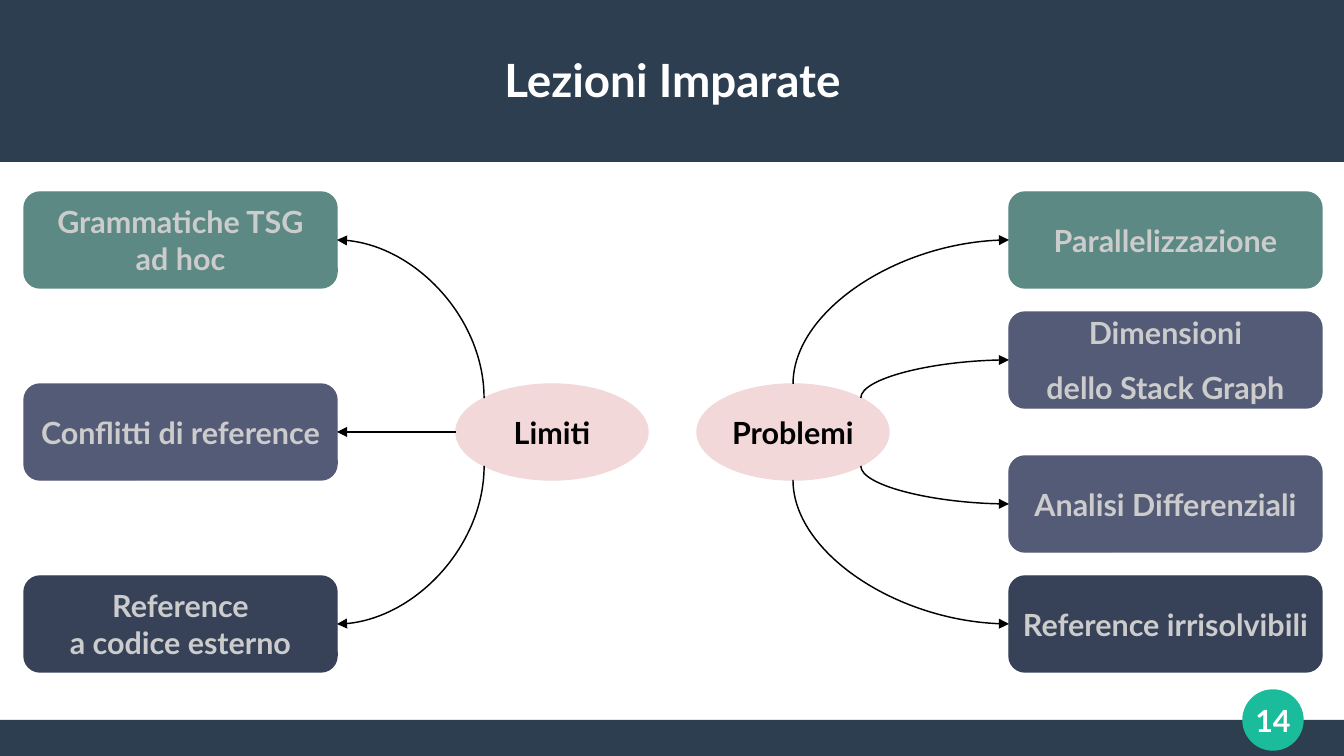
"""Build the slide "Lezioni Imparate": limits and problems, each linked to its topics."""
from math import sqrt

from lxml.etree import SubElement
from pptx import Presentation
from pptx.dml.color import RGBColor
from pptx.enum.shapes import MSO_CONNECTOR, MSO_SHAPE
from pptx.enum.text import MSO_ANCHOR, PP_ALIGN
from pptx.oxml.ns import qn
from pptx.util import Emu, Pt

TITLE = "Lezioni Imparate"
PAGE = "14"
NAVY, TEAL, PINK = "2C3E50", "1ABC9C", "F2D8D8"
GREEN, VIOLET, SLATE = "5C8984", "545B77", "374259"
WHITE, GREY, BLACK = "FFFFFF", "CCCCCC", "000000"

GROUPS = [
    {"hub": "Limiti", "hub_x": 456, "topic_x": 24, "side": -1, "gap": 0, "topics": [
        (192, GREEN, ["Grammatiche TSG", "ad hoc"], "diagonal"),
        (384, VIOLET, ["Conflitti di reference"], "straight"),
        (576, SLATE, ["Reference", "a codice esterno"], "diagonal"),
    ]},
    {"hub": "Problemi", "hub_x": 697, "topic_x": 1009, "side": 1, "gap": 10.6, "topics": [
        (192, GREEN, ["Parallelizzazione"], "pole"),
        (312, VIOLET, ["Dimensioni", "dello Stack Graph"], "diagonal"),
        (456, VIOLET, ["Analisi Differenziali"], "diagonal"),
        (576, SLATE, ["Reference irrisolvibili"], "pole"),
    ]},
]

SLIDE_W, SLIDE_H = 1344, 756
HUB_W, TOPIC_W, ROW_H, HUB_Y = 192, 313, 96, 384
LINE_WIDTH = Pt(0.85)


def px(length):
    return Emu(round(length * 914400 / 122))


def rgb(code):
    return RGBColor.from_string(code)


def write(shape, lines, color, size=18, gap=0):
    frame = shape.text_frame
    frame.word_wrap = False
    frame.vertical_anchor = MSO_ANCHOR.MIDDLE
    for number, line in enumerate(lines):
        paragraph = frame.paragraphs[0] if number == 0 else frame.add_paragraph()
        paragraph.alignment = PP_ALIGN.CENTER
        paragraph.space_after = Pt(gap)
        run = paragraph.add_run()
        run.text = line
        run.font.name = "Lato"
        run.font.size = Pt(size)
        run.font.bold = True
        run.font.color.rgb = rgb(color)


def block(slide, kind, box, fill, outlined=True):
    shape = slide.shapes.add_shape(kind, *map(px, box))
    shape.shadow.inherit = False
    shape.fill.solid()
    shape.fill.fore_color.rgb = rgb(fill)
    if outlined:
        shape.line.color.rgb = rgb(fill)
        shape.line.width = LINE_WIDTH
    else:
        shape.line.fill.background()
    return shape


def arrow(slide, kind, begin, end):
    link = slide.shapes.add_connector(kind, *map(px, (*begin, *end)))
    link.line.color.rgb = rgb(BLACK)
    link.line.width = LINE_WIDTH
    properties = link._element.spPr
    SubElement(properties.find(qn("a:ln")), qn("a:tailEnd"), type="triangle")
    SubElement(properties, qn("a:effectLst"))
    return link


def quarter_arc(slide, begin, end):
    """Leave begin vertically and reach end horizontally, as a connector turned by 90 degrees."""
    (x1, y1), (x2, y2) = begin, end
    mid_x, mid_y = (x1 + x2) / 2, (y1 + y2) / 2
    half_w, half_h = (x2 - x1) / 2, (y2 - y1) / 2
    link = arrow(slide, MSO_CONNECTOR.CURVE,
                 (mid_x - half_h, mid_y + half_w), (mid_x + half_h, mid_y - half_w))
    link._element.spPr.find(qn("a:prstGeom")).set("prst", "curvedConnector2")
    link.rotation = 90


def draw_group(slide, group):
    hub = block(slide, MSO_SHAPE.OVAL, (group["hub_x"], HUB_Y, HUB_W, ROW_H), PINK)
    write(hub, [group["hub"]], BLACK)
    side = group["side"]
    center_x, center_y = group["hub_x"] + HUB_W / 2, HUB_Y + ROW_H / 2
    inner_x = group["topic_x"] + (TOPIC_W if side < 0 else 0)
    for top, fill, lines, route in group["topics"]:
        topic = block(slide, MSO_SHAPE.ROUNDED_RECTANGLE,
                      (group["topic_x"], top, TOPIC_W, ROW_H), fill)
        write(topic, lines, GREY, gap=group["gap"])
        end = inner_x, top + ROW_H / 2
        if route == "straight":
            link = arrow(slide, MSO_CONNECTOR.STRAIGHT,
                         (center_x + side * HUB_W / 2, center_y), end)
            link.end_connect(topic, 3 if side < 0 else 1)
            continue
        across, along = (0, 1) if route == "pole" else (sqrt(0.5), sqrt(0.5))
        upright = 1 if end[1] > center_y else -1
        begin = (center_x + side * across * HUB_W / 2,
                 center_y + upright * along * ROW_H / 2)
        quarter_arc(slide, begin, end)


def main():
    deck = Presentation()
    deck.slide_width, deck.slide_height = px(SLIDE_W), px(SLIDE_H)
    slide = deck.slides.add_slide(deck.slide_layouts[6])

    for top, height in ((720, 36), (0, 162)):
        block(slide, MSO_SHAPE.RECTANGLE, (0, top, SLIDE_W, height), NAVY, outlined=False)
    badge = block(slide, MSO_SHAPE.OVAL, (1243, 690, 60, 60), TEAL)
    title = slide.shapes.add_textbox(*map(px, (48, 31, 1249, 96)))
    for shape in (badge, title):
        frame = shape.text_frame
        frame.margin_left = frame.margin_right = frame.margin_top = frame.margin_bottom = 0
    write(badge, [PAGE], WHITE)
    write(title, [TITLE], WHITE, size=27)

    for group in GROUPS:
        draw_group(slide, group)
    deck.save("out.pptx")


if __name__ == "__main__":
    main()
